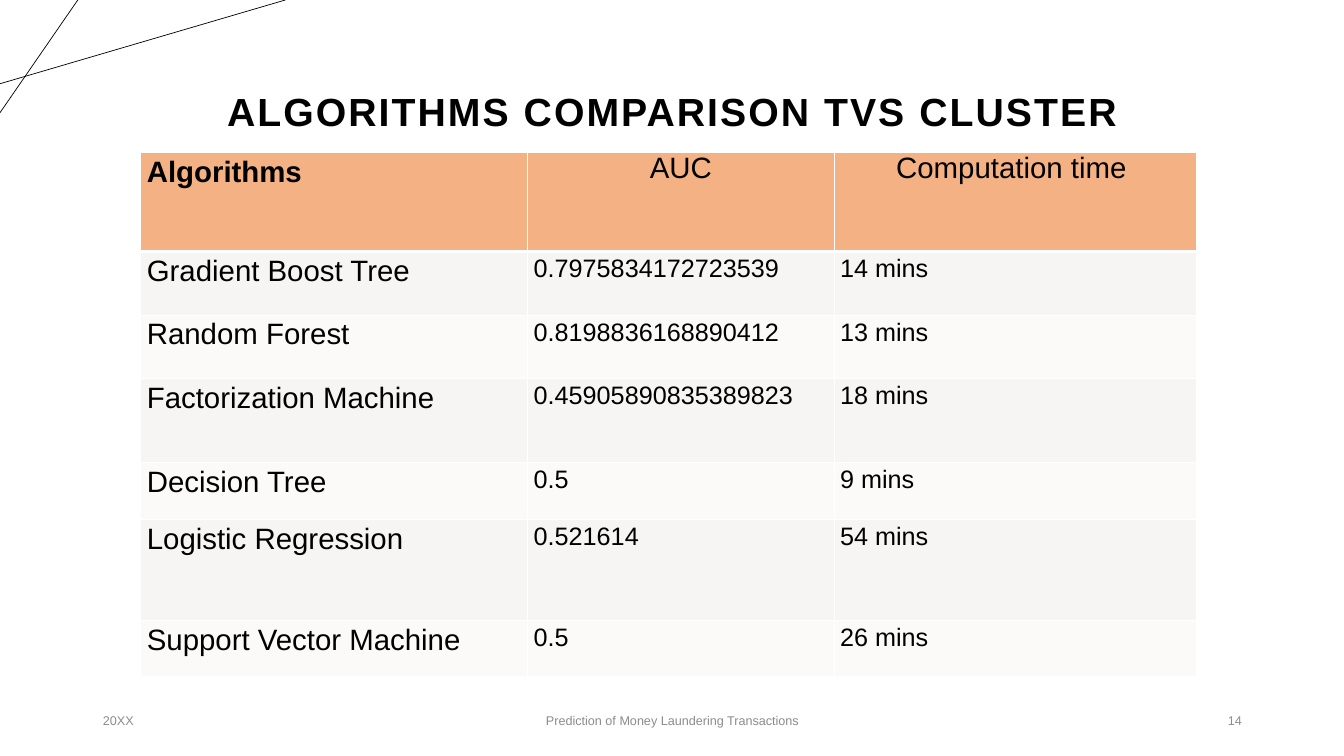
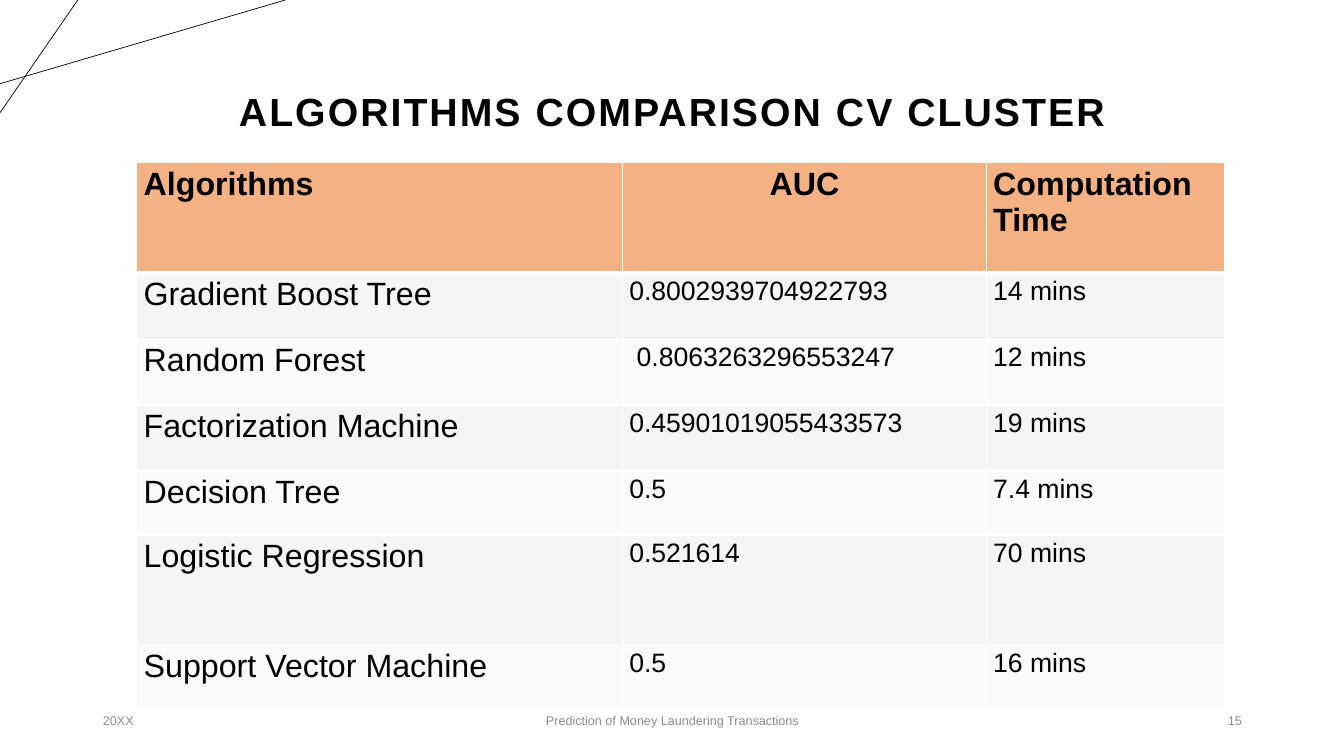
import copy

import pptx
import pptx.dml.color
import pptx.enum.shapes
import pptx.enum.text
import pptx.oxml
import pptx.oxml.ns
import pptx.util
from pptx.util import Cm, Pt

ALIGN = pptx.enum.text.PP_ALIGN
MIDDLE = pptx.enum.text.MSO_ANCHOR.MIDDLE
PLACEHOLDER = pptx.enum.shapes.PP_PLACEHOLDER
qn = pptx.oxml.ns.qn

FONT = "Arial"
BLACK, GREY, WHITE = "000000", "8C8C8C", "FFFFFF"
HEADER_FILL = "F4B183"
BAND_FILLS = ("F7F5F3", "FBFAF9")

# Lengths below are in centimetres.
SLIDE_SIZE = (33.87, 19.05)
CORNER_LINES = [((0, 2.11), (7.19, 0)), ((1.96, 0), (0, 2.84))]
TITLE_BOX = (2.34, 1.02, 29.21, 3.68)
FOOTER_BOXES = {
    PLACEHOLDER.DATE: ((2.34, 17.65, 7.62, 1.02), ALIGN.LEFT),
    PLACEHOLDER.FOOTER: ((11.23, 17.65, 11.43, 1.02), ALIGN.CENTER),
    PLACEHOLDER.SLIDE_NUMBER: ((23.93, 17.65, 7.62, 1.02), ALIGN.RIGHT),
}
DATE = "20XX"
FOOTER = "Prediction of Money Laundering Transactions"
FIRST_NUMBER = 14

ALGORITHMS = [
    "Gradient Boost Tree", "Random Forest", "Factorization Machine",
    "Decision Tree", "Logistic Regression", "Support Vector Machine",
]

# Each header is (text, bold, alignment).
COMPARISONS = [
    {
        "title": "ALGORITHMS COMPARISON TVS CLUSTER",
        "headers": [("Algorithms", True, ALIGN.LEFT),
                    ("AUC", False, ALIGN.CENTER),
                    ("Computation time ", False, ALIGN.CENTER)],
        "auc": ["0.7975834172723539", "0.8198836168890412",
                "0.45905890835389823", "0.5", "0.521614", "0.5"],
        "minutes": ["14", "13", "18", "9", "54", "26"],
        "corner": (3.55, 3.84),
        "widths": [9.75, 7.72, 9.14],
        "heights": [2.5, 1.6, 1.6, 2.12, 1.43, 2.54, 1.43],
        "name_size": 21, "value_size": 18, "side_margin": 0.15,
    },
    {
        "title": "ALGORITHMS COMPARISON CV CLUSTER",
        "headers": [("Algorithms", True, ALIGN.LEFT),
                    ("AUC", True, ALIGN.CENTER),
                    ("Computation Time", True, ALIGN.LEFT)],
        "auc": ["0.8002939704922793", " 0.8063263296553247",
                "0.45901019055433573", "0.5", "0.521614", "0.5"],
        "minutes": ["14", "12", "19", "7.4", "70", "16"],
        "corner": (3.45, 4.1),
        "widths": [12.24, 9.17, 5.99],
        "heights": [2.78, 1.67, 1.67, 1.65, 1.61, 2.78, 1.63],
        "name_size": 23, "value_size": 19, "side_margin": 0.17,
    },
]


def rgb(value):
    return pptx.dml.color.RGBColor.from_string(value)


def write(frame, text, size, color=BLACK, bold=False, align=ALIGN.LEFT):
    """Replace the frame's text with one formatted run; return its paragraph."""
    frame.clear()
    paragraph = frame.paragraphs[0]
    paragraph.alignment = align
    run = paragraph.add_run()
    run.text = text
    run.font.name, run.font.size, run.font.bold = FONT, Pt(size), bold
    run.font.color.rgb = rgb(color)
    return paragraph


def place(shape, box):
    shape.left, shape.top, shape.width, shape.height = map(Cm, box)


def prepare_layout(layout):
    boxes = {kind: box for kind, (box, _) in FOOTER_BOXES.items()}
    boxes[PLACEHOLDER.TITLE] = TITLE_BOX
    for placeholder in layout.placeholders:
        place(placeholder, boxes[placeholder.placeholder_format.type])


def add_corner_lines(slide, master):
    """Draw the corner lines and hand them to the master, so all slides share them."""
    for start, end in CORNER_LINES:
        line = slide.shapes.add_connector(
            pptx.enum.shapes.MSO_CONNECTOR.STRAIGHT, *map(Cm, start + end))
        line.line.color.rgb = rgb(BLACK)
        line.line.width = Pt(0.5)
        line.element.spPr.append(pptx.oxml.parse_xml(
            f"<a:effectLst {pptx.oxml.ns.nsdecls('a')}/>"))
        master.shapes.element.append(line.element)


def add_title(slide, text):
    title = slide.shapes.title
    frame = title.text_frame
    frame.auto_size = pptx.enum.text.MSO_AUTO_SIZE.NONE
    frame.vertical_anchor = MIDDLE
    write(frame, text, 28, bold=True, align=ALIGN.CENTER).line_spacing = 0.9
    for properties in title.element.iter(qn("a:rPr")):
        properties.set("spc", "150")


def add_footers(slide, number):
    texts = {PLACEHOLDER.DATE: DATE, PLACEHOLDER.FOOTER: FOOTER,
             PLACEHOLDER.SLIDE_NUMBER: str(number)}
    for source in slide.slide_layout.placeholders:
        if source.placeholder_format.type in texts:
            slide.shapes.element.append(copy.deepcopy(source.element))
    for placeholder in slide.placeholders:
        kind = placeholder.placeholder_format.type
        if kind in texts:
            frame = placeholder.text_frame
            frame.vertical_anchor = MIDDLE
            paragraph = write(frame, texts[kind], 9, GREY, align=FOOTER_BOXES[kind][1])
            paragraph.space_after = Pt(6)


def style_cell(cell, fill, margins, bottom_width=1):
    properties = cell._tc.get_or_add_tcPr()
    for side, width in (("L", 1), ("R", 1), ("T", 1), ("B", bottom_width)):
        properties.append(pptx.oxml.parse_xml(
            f'<a:ln{side} {pptx.oxml.ns.nsdecls("a")} w="{Pt(width)}"><a:solidFill>'
            f'<a:srgbClr val="{WHITE}"/></a:solidFill></a:ln{side}>'))
    cell.fill.solid()
    cell.fill.fore_color.rgb = rgb(fill)
    side_margin, end_margin = map(Cm, margins)
    cell.margin_left = cell.margin_right = side_margin
    cell.margin_top = cell.margin_bottom = end_margin


def add_comparison(slide, data):
    widths, heights = data["widths"], data["heights"]
    table = slide.shapes.add_table(
        len(heights), len(widths), *map(Cm, data["corner"]),
        Cm(sum(widths)), Cm(sum(heights))).table
    table.first_row = table.horz_banding = False
    for column, width in zip(table.columns, widths):
        column.width = Cm(width)
    for row, height in zip(table.rows, heights):
        row.height = Cm(height)

    margins = (data["side_margin"], 0.08)
    for column, (text, bold, align) in enumerate(data["headers"]):
        cell = table.cell(0, column)
        style_cell(cell, HEADER_FILL, margins if bold else (0, 0), bottom_width=3)
        write(cell.text_frame, text, data["name_size"], bold=bold, align=align)

    results = zip(ALGORITHMS, data["auc"], data["minutes"])
    for row, (algorithm, auc, minutes) in enumerate(results, 1):
        for column, text in enumerate((algorithm, auc, f"{minutes} mins")):
            cell = table.cell(row, column)
            style_cell(cell, BAND_FILLS[(row - 1) % 2], margins)
            size = data["value_size"] if column else data["name_size"]
            write(cell.text_frame, text, size)


def main():
    deck = pptx.Presentation()
    deck.slide_width, deck.slide_height = map(Cm, SLIDE_SIZE)
    layout = deck.slide_layouts.get_by_name("Title Only")
    prepare_layout(layout)
    for number, data in enumerate(COMPARISONS, FIRST_NUMBER):
        slide = deck.slides.add_slide(layout)
        if number == FIRST_NUMBER:
            add_corner_lines(slide, deck.slide_master)
        add_title(slide, data["title"])
        add_footers(slide, number)
        add_comparison(slide, data)
    deck.save("out.pptx")


if __name__ == "__main__":
    main()
